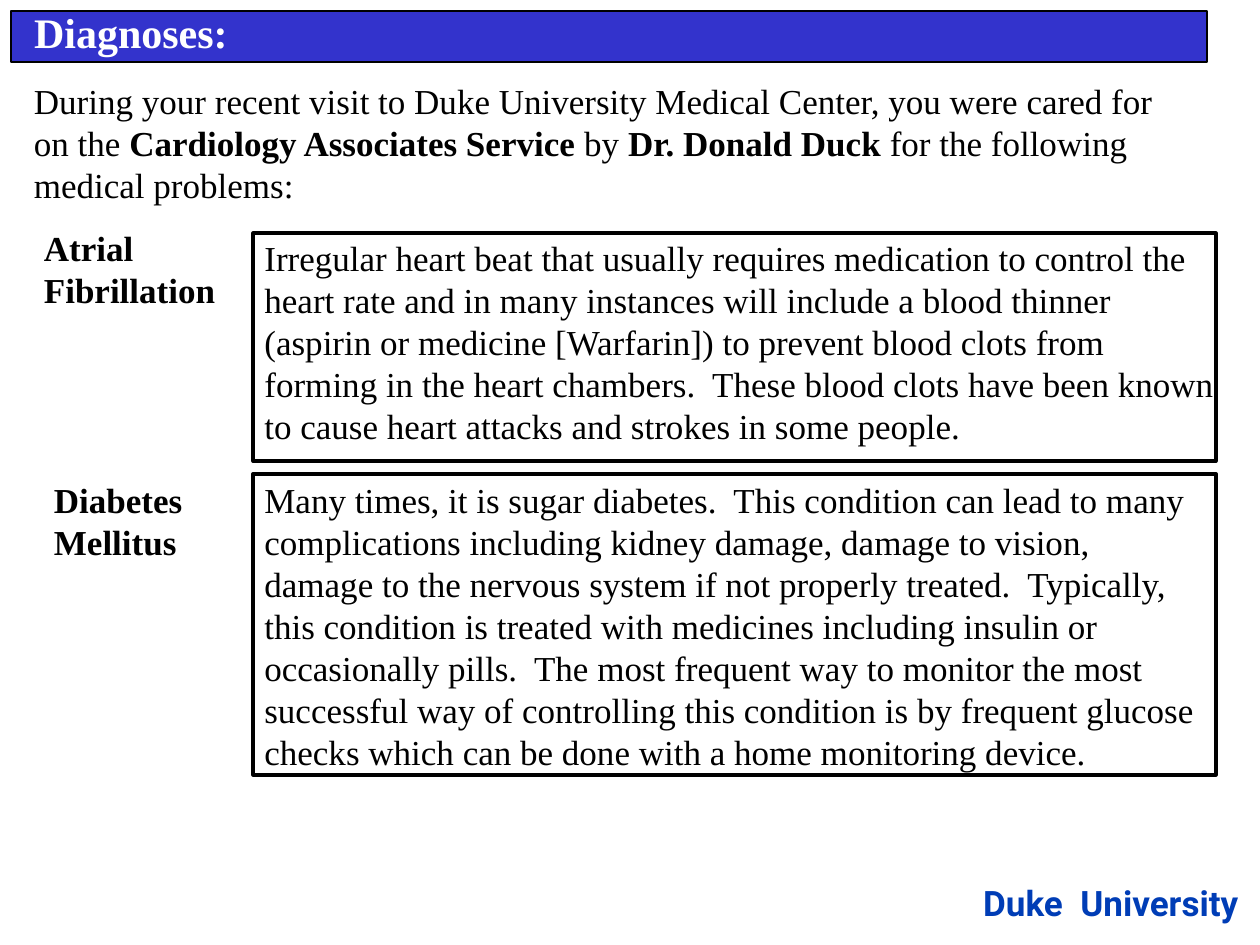
import pptx
import pptx.util
import pptx.dml.color
import pptx.enum.shapes
import pptx.enum.text
from pptx.util import Inches

BLACK = pptx.dml.color.RGBColor(0x00, 0x00, 0x00)
WHITE = pptx.dml.color.RGBColor(0xFF, 0xFF, 0xFF)
BAR_BLUE = pptx.dml.color.RGBColor(0x33, 0x33, 0xCC)
FOOTER_BLUE = pptx.dml.color.RGBColor(0x00, 0x3D, 0xB6)

presentation = pptx.Presentation()
presentation.slide_width = Inches(10)
presentation.slide_height = Inches(7.5)
slide = presentation.slides.add_slide(presentation.slide_layouts[5])


def add_rectangle(left, top, width, height, fill=None, line_width=None):
    shape = slide.shapes.add_shape(
        pptx.enum.shapes.MSO_SHAPE.RECTANGLE,
        Inches(left), Inches(top), Inches(width), Inches(height))
    shape.shadow.inherit = False
    if fill is None:
        shape.fill.background()
    else:
        shape.fill.solid()
        shape.fill.fore_color.rgb = fill
    if line_width is None:
        shape.line.fill.background()
    else:
        shape.line.color.rgb = BLACK
        shape.line.width = pptx.util.Pt(line_width)
    return shape


def write_text(shape, runs, size=20, bold=False, color=BLACK,
               font_name="Times New Roman", align=pptx.enum.text.PP_ALIGN.LEFT):
    """Fill a shape with one paragraph; runs are (text, bold override) pairs."""
    frame = shape.text_frame
    frame.word_wrap = True
    frame.auto_size = pptx.enum.text.MSO_AUTO_SIZE.NONE
    frame.vertical_anchor = pptx.enum.text.MSO_ANCHOR.TOP
    paragraph = frame.paragraphs[0]
    paragraph.alignment = align
    paragraph.space_before = pptx.util.Pt(0)
    paragraph.font.name = font_name
    paragraph.font.size = pptx.util.Pt(size)
    paragraph.font.bold = bold
    paragraph.font.color.rgb = color
    for text, run_bold in runs:
        run = paragraph.add_run()
        run.text = text
        run.font.bold = run_bold


# Footer
footer = slide.shapes.add_textbox(Inches(6.75), Inches(7), Inches(3.08), Inches(0.33))
footer.text_frame.margin_left = footer.text_frame.margin_right = 0
footer.text_frame.margin_top = footer.text_frame.margin_bottom = 0
write_text(footer, [("Duke  University", None)], bold=True, color=FOOTER_BLUE,
           font_name="Roboto", align=pptx.enum.text.PP_ALIGN.RIGHT)

# Descriptions of the diagnoses
descriptions = [
    (3.75, 7.67, 2.44,
     "Many times, it is sugar diabetes.  This condition can lead to many "
     "complications including kidney damage, damage to vision, damage to the "
     "nervous system if not properly treated.  Typically, this condition is "
     "treated with medicines including insulin or occasionally pills.  The most "
     "frequent way to monitor the most successful way of controlling this "
     "condition is by frequent glucose checks which can be done with a home "
     "monitoring device."),
    (1.83, 7.75, 1.77,
     "Irregular heart beat that usually requires medication to control the heart "
     "rate and in many instances will include a blood thinner (aspirin or "
     "medicine [Warfarin]) to prevent blood clots from forming in the heart "
     "chambers.  These blood clots have been known to cause heart attacks and "
     "strokes in some people."),
]
for top, width, height, text in descriptions:
    write_text(add_rectangle(2, top, width, height, fill=WHITE), [(text, None)])

# Frames around the descriptions
for top, height in [(3.76, 2.39), (1.85, 1.81)]:
    add_rectangle(2.01, top, 7.64, height, line_width=2)

# Title on its bar, brought in front of it
add_rectangle(0.09, 0.09, 9.49, 0.4, fill=BAR_BLUE, line_width=1)
title = slide.shapes.title
title.left, title.top = Inches(0.17), Inches(0)
title.width, title.height = Inches(5.17), Inches(0.5)
write_text(title, [("Diagnoses:", None)], size=24, bold=True, color=WHITE)
slide.shapes._spTree.append(title._element)

# Introduction and diagnosis names
text_boxes = [
    (0.17, 0.58, 9.42, 1.1, False, [
        ("During your recent visit to Duke University Medical Center, "
         "you were cared for on the ", None),
        ("Cardiology Associates Service ", True),
        ("by ", None),
        ("Dr. Donald Duck", True),
        (" for the following medical problems:", None)]),
    (0.25, 1.75, 2.08, 0.77, True, [("Atrial Fibrillation", None)]),
    (0.33, 3.75, 1.67, 0.77, True, [("Diabetes Mellitus", None)]),
]
for left, top, width, height, bold, runs in text_boxes:
    text_box = slide.shapes.add_textbox(
        Inches(left), Inches(top), Inches(width), Inches(height))
    write_text(text_box, runs, bold=bold)

presentation.save("out.pptx")
